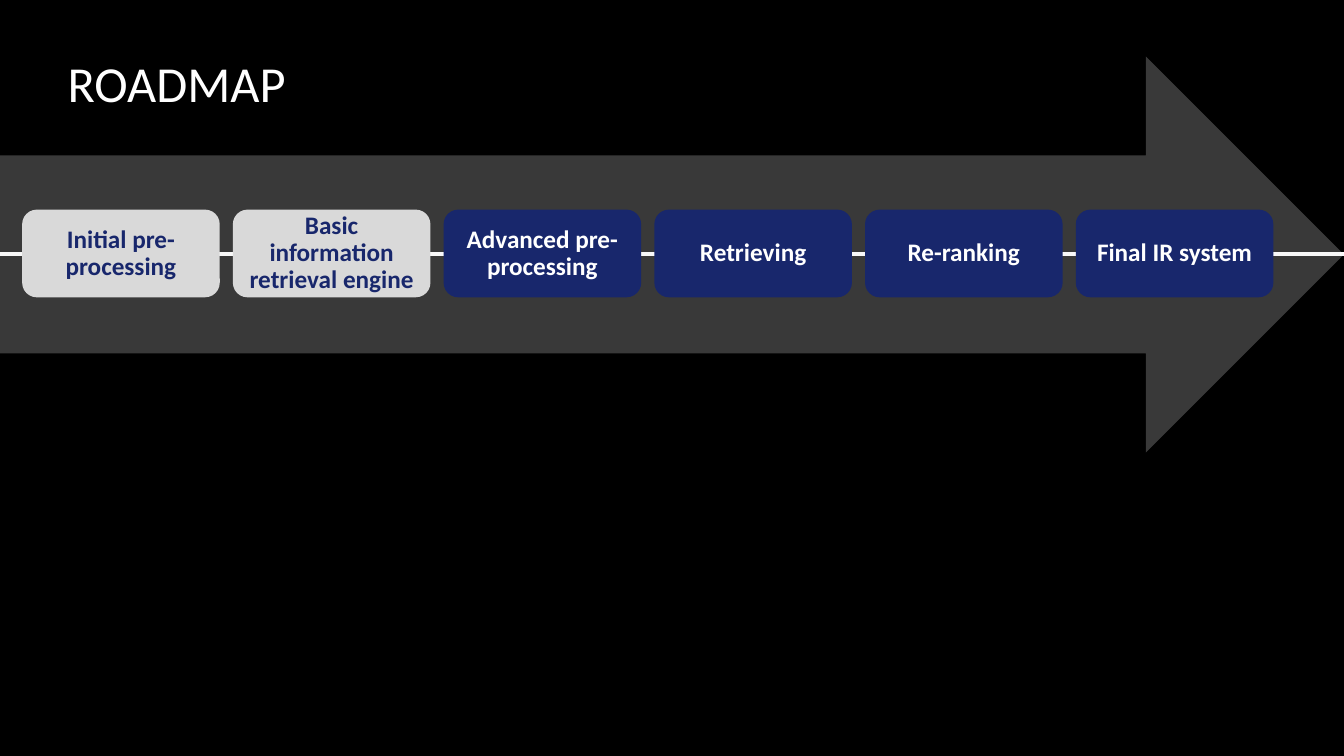
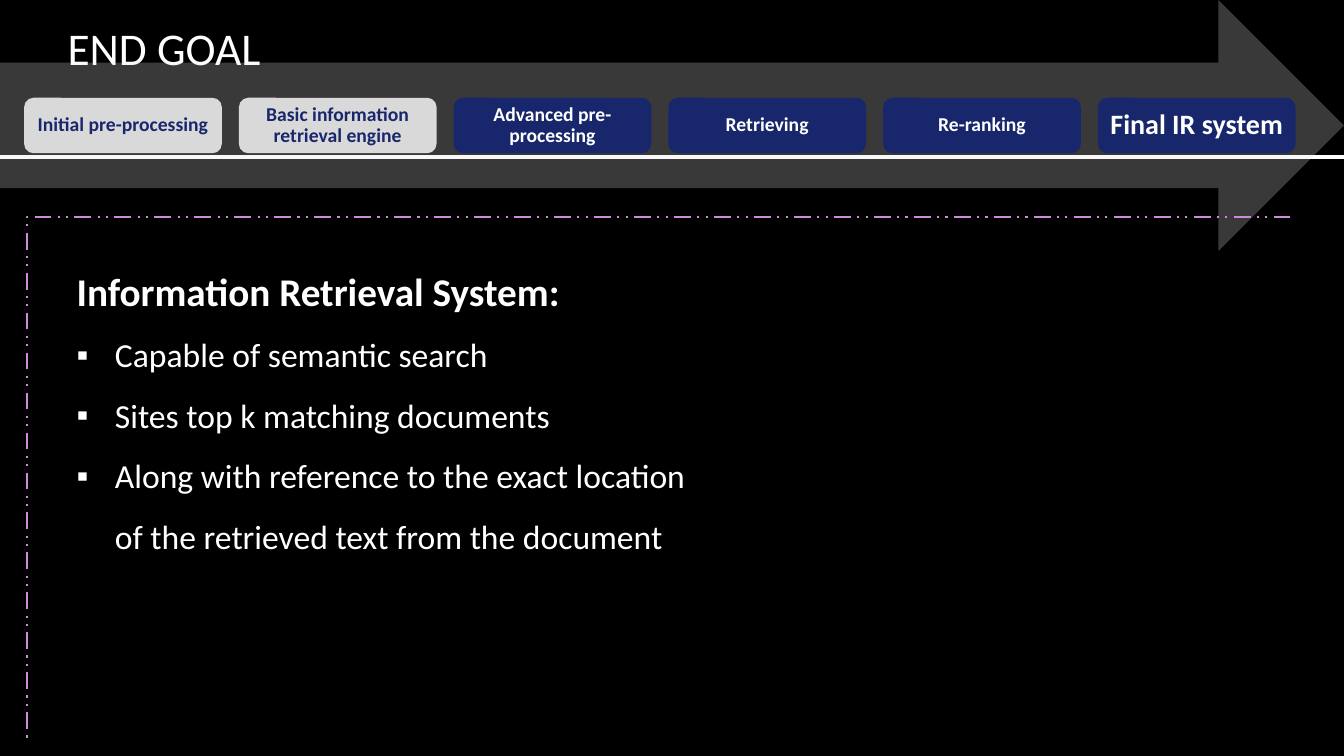
from lxml.etree import SubElement
from pptx import Presentation
from pptx.dml.color import RGBColor
from pptx.enum.dml import MSO_LINE
from pptx.enum.shapes import MSO_CONNECTOR, MSO_SHAPE
from pptx.enum.text import MSO_ANCHOR, MSO_AUTO_SIZE, PP_ALIGN
from pptx.oxml.ns import qn
from pptx.util import Inches, Pt

# Shared style
FONT = "Calibri"
BLACK = RGBColor(0x00, 0x00, 0x00)
WHITE = RGBColor(0xFF, 0xFF, 0xFF)
NAVY = RGBColor(0x18, 0x27, 0x6C)
LIGHT_GREY = RGBColor(0xD9, 0xD9, 0xD9)
ARROW_GREY = RGBColor(0xE6, 0xE6, 0xE6)
LILAC = RGBColor(0xCD, 0x8B, 0xDA)
ARROW_OPACITY = 25
SLIDE_WIDTH = 13.33
STEP_WIDTH = 1.96
TITLE_ONLY, TITLE_AND_CONTENT = 5, 1

# Roadmap content
STEPS = ["Initial pre-processing", "Basic information retrieval engine",
         "Advanced pre-processing", "Retrieving", "Re-ranking", "Final IR system"]
STEPS_DONE = 2
GOAL_HEADING = "Information Retrieval System:"
GOALS = ["Capable of semantic search", "Sites top k matching documents",
         "Along with reference to the exact location of the retrieved text from the document"]


def place(shape, left, top, width, height):
    shape.left, shape.top = Inches(left), Inches(top)
    shape.width, shape.height = Inches(width), Inches(height)


def style_font(paragraph, size, color=WHITE, bold=False):
    font = paragraph.font
    font.name, font.size, font.bold = FONT, Pt(size), bold
    font.color.rgb = color


def set_title(slide, text, height, size):
    title = slide.shapes.title
    place(title, 0.57, 0.14, 10.8, height)
    frame = title.text_frame
    frame.text = text
    frame.auto_size = MSO_AUTO_SIZE.NONE
    frame.vertical_anchor = MSO_ANCHOR.MIDDLE
    frame.paragraphs[0].alignment = PP_ALIGN.LEFT
    style_font(frame.paragraphs[0], size)


def add_shape(slide, kind, box, color):
    shape = slide.shapes.add_shape(kind, *map(Inches, box))
    shape.shadow.inherit = False
    shape.fill.solid()
    shape.fill.fore_color.rgb = color
    shape.line.fill.background()
    return shape


def add_line(slide, kind, start, end, color, width):
    line = slide.shapes.add_connector(kind, *map(Inches, (*start, *end)))
    line.line.color.rgb = color
    line.line.width = Pt(width)
    SubElement(line._element.spPr, qn("a:effectLst"))
    return line


def add_step(slide, text, box, fill, color, size):
    step = add_shape(slide, MSO_SHAPE.ROUNDED_RECTANGLE, box, fill)
    frame = step.text_frame
    frame.text = text
    frame.word_wrap = True
    frame.vertical_anchor = MSO_ANCHOR.MIDDLE
    frame.margin_left = frame.margin_right = Inches(0.09)
    frame.margin_top = frame.margin_bottom = 0
    paragraph = frame.paragraphs[0]
    paragraph.alignment = PP_ALIGN.CENTER
    paragraph.line_spacing = 0.9
    style_font(paragraph, size, color, bold=True)


def add_roadmap(slide, line_top, arrow_top, arrow_height, first_left, pitch,
                step_top, step_height, sizes):
    add_line(slide, MSO_CONNECTOR.STRAIGHT, (0, line_top), (SLIDE_WIDTH, line_top), WHITE, 3)
    arrow = add_shape(slide, MSO_SHAPE.RIGHT_ARROW,
                      (0, arrow_top, SLIDE_WIDTH, arrow_height), ARROW_GREY)
    color = arrow._element.spPr.find(qn("a:solidFill"))[0]
    SubElement(color, qn("a:alpha"), val=str(ARROW_OPACITY * 1000))
    for index, (text, size) in enumerate(zip(STEPS, sizes)):
        fill, text_color = (LIGHT_GREY, NAVY) if index < STEPS_DONE else (NAVY, WHITE)
        box = (first_left + index * pitch, step_top, STEP_WIDTH, step_height)
        add_step(slide, text, box, fill, text_color, size)


def add_corner_line(slide):
    corner = add_line(slide, MSO_CONNECTOR.ELBOW, (12.8, 2.15), (0.26, 7.36), LILAC, 1.5)
    corner.line.dash_style = MSO_LINE.DASH_DOT_DOT
    # Move the bend to the far left
    adjustments = corner._element.spPr.find(qn("a:prstGeom")).get_or_add_avLst()
    SubElement(adjustments, qn("a:gd"), name="adj1", fmla="val 99900")


def set_bullet(paragraph, bullet=None, indent=0):
    properties = paragraph._p.get_or_add_pPr()
    properties.set("marL", str(Inches(indent)))
    properties.set("indent", str(-Inches(indent)))
    if bullet:
        SubElement(properties, qn("a:buChar"), char=bullet)
    else:
        SubElement(properties, qn("a:buNone"))


def set_goals(slide):
    body = slide.placeholders[1]
    place(body, 0.66, 2.6, 6.31, 2.93)
    frame = body.text_frame
    frame.text = "\n".join([GOAL_HEADING, *GOALS])
    frame.auto_size = MSO_AUTO_SIZE.NONE
    heading, *goals = frame.paragraphs
    for paragraph in frame.paragraphs:
        paragraph.space_before = Pt(0)
    set_bullet(heading)
    style_font(heading, 28, bold=True)
    for goal in goals:
        goal.line_spacing = 1.5
        set_bullet(goal, "▪", 0.38)
        style_font(goal, 24)


def add_slide(presentation, layout):
    return presentation.slides.add_slide(presentation.slide_layouts[layout])


def main():
    presentation = Presentation()
    presentation.slide_width, presentation.slide_height = Inches(SLIDE_WIDTH), Inches(7.5)
    background = presentation.slide_master.background.fill
    background.solid()
    background.fore_color.rgb = BLACK

    # Roadmap
    slide = add_slide(presentation, TITLE_ONLY)
    add_roadmap(slide, line_top=2.52, arrow_top=0.56, arrow_height=3.93, first_left=0.22,
                pitch=2.09, step_top=2.08, step_height=0.87, sizes=[18] * len(STEPS))
    set_title(slide, "ROADMAP", 1.35, 36)

    # End goal, with the last step emphasised
    slide = add_slide(presentation, TITLE_AND_CONTENT)
    add_roadmap(slide, line_top=1.56, arrow_top=0, arrow_height=2.49, first_left=0.24,
                pitch=2.13, step_top=0.97, step_height=0.55,
                sizes=[14] * (len(STEPS) - 1) + [20])
    set_title(slide, "END GOAL", 0.66, 32.4)
    add_corner_line(slide)
    set_goals(slide)

    presentation.save("out.pptx")


if __name__ == "__main__":
    main()
